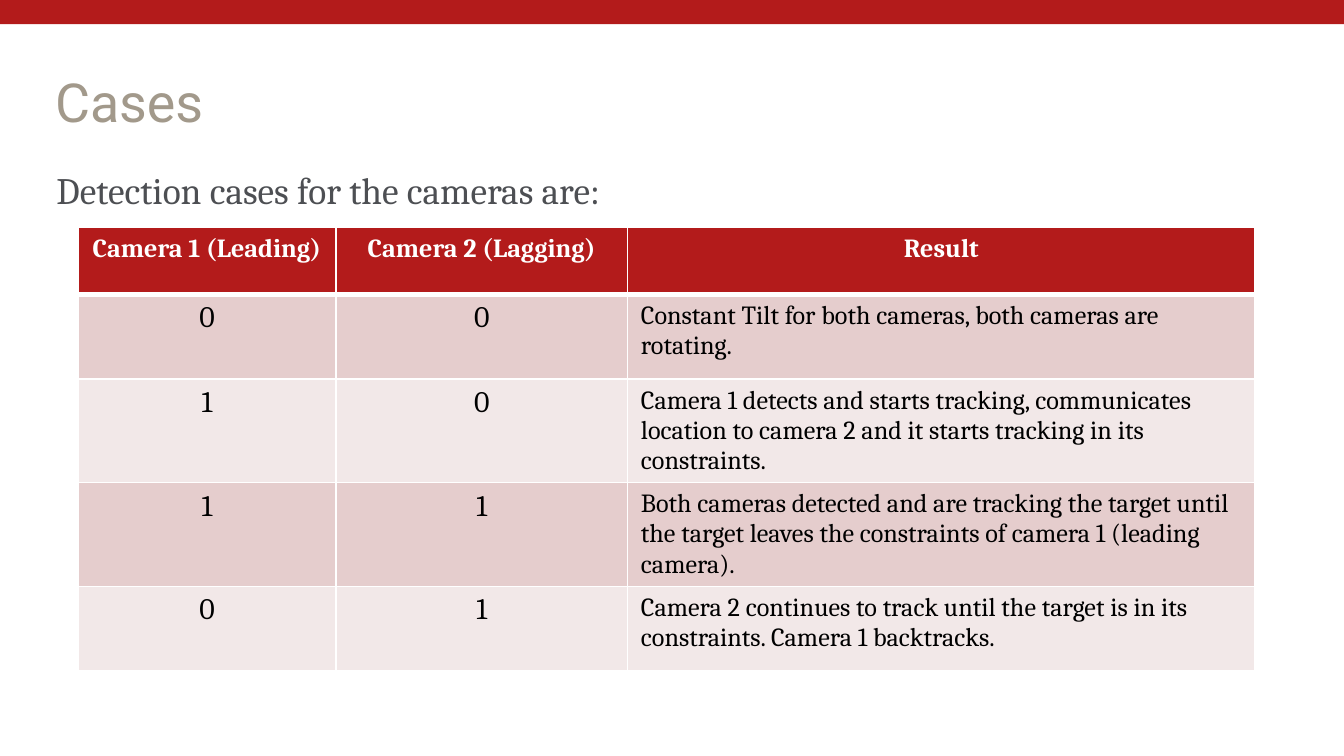
from dataclasses import dataclass

import pptx
import pptx.dml.color
import pptx.enum.shapes
import pptx.enum.text
import pptx.oxml
import pptx.oxml.ns
import pptx.presentation
import pptx.shapes.placeholder
import pptx.slide
import pptx.table
import pptx.text.text
import pptx.util

Inches = pptx.util.Inches
ALIGN = pptx.enum.text.PP_ALIGN
ANCHOR = pptx.enum.text.MSO_ANCHOR


@dataclass(frozen=True)
class Theme:
    red: str = "B31B1B"
    sand: str = "A2998B"
    gray: str = "4D4F53"
    black: str = "000000"
    white: str = "FFFFFF"
    bands: tuple[str, str] = ("E5CDCD", "F2E8E8")
    heading_font: str = "Roboto"
    text_font: str = "Cambria"
    title_size: float = 28.8
    body_size: float = 20
    value_size: float = 16
    cell_size: float = 14
    rule: float = 1
    header_rule: float = 3


@dataclass(frozen=True)
class Style:
    font: str
    size: float
    color: str
    align: ALIGN = ALIGN.LEFT
    bold: bool = False


@dataclass(frozen=True)
class Case:
    leading: str
    lagging: str
    result: str


THEME = Theme()
TITLE = Style(THEME.heading_font, THEME.title_size, THEME.sand)
BODY = Style(THEME.text_font, THEME.body_size, THEME.gray)
HEADER = Style(THEME.text_font, THEME.cell_size, THEME.white, ALIGN.CENTER, True)
VALUE = Style(THEME.text_font, THEME.value_size, THEME.black, ALIGN.CENTER)
RESULT = Style(THEME.text_font, THEME.cell_size, THEME.black)

HEADINGS = ("Camera 1 (Leading)", "Camera 2 (Lagging)", "Result")
CASES = (
    Case("0", "0", "Constant Tilt for both cameras, both cameras are rotating."),
    Case("1", "0", "Camera 1 detects and starts tracking, communicates location "
                   "to camera 2 and it starts tracking in its constraints."),
    Case("1", "1", "Both cameras detected and are tracking the target until the "
                   "target leaves the constraints of camera 1 (leading camera)."),
    Case("0", "1", "Camera 2 continues to track until the target is in its "
                   "constraints. Camera 1 backtracks."),
)
COLUMN_WIDTHS = (1.92, 2.17, 4.67)
HEADER_HEIGHT, CASE_HEIGHT = 0.5, 0.63


def rgb(color: str) -> pptx.dml.color.RGBColor:
    return pptx.dml.color.RGBColor.from_string(color)


def write(frame: pptx.text.text.TextFrame, text: str, style: Style) -> None:
    paragraph = frame.paragraphs[0]
    paragraph.alignment = style.align
    paragraph.space_before = pptx.util.Pt(0)
    run = paragraph.add_run()
    run.text = text
    run.font.name = style.font
    run.font.size = pptx.util.Pt(style.size)
    run.font.bold = style.bold
    run.font.color.rgb = rgb(style.color)


def fill_placeholder(
    holder: pptx.shapes.placeholder.SlidePlaceholder,
    box: tuple[float, float, float, float],
    text: str,
    style: Style,
    anchor: ANCHOR,
) -> None:
    holder.left, holder.top, holder.width, holder.height = map(Inches, box)
    frame = holder.text_frame
    frame.word_wrap = True
    frame.auto_size = pptx.enum.text.MSO_AUTO_SIZE.NONE
    frame.vertical_anchor = anchor
    properties = frame.paragraphs[0]._p.get_or_add_pPr()
    properties.set("marL", "0")
    properties.set("indent", "0")
    properties.append(pptx.oxml.parse_xml(f'<a:buNone {pptx.oxml.ns.nsdecls("a")}/>'))
    write(frame, text, style)


def add_border(cell: pptx.table._Cell, top: float, bottom: float) -> None:
    widths = {"lnL": THEME.rule, "lnR": THEME.rule, "lnT": top, "lnB": bottom}
    for position, (side, width) in enumerate(widths.items()):
        line = pptx.oxml.parse_xml(
            f'<a:{side} {pptx.oxml.ns.nsdecls("a")} w="{pptx.util.Pt(width)}">'
            f'<a:solidFill><a:srgbClr val="{THEME.white}"/></a:solidFill></a:{side}>'
        )
        cell._tc.get_or_add_tcPr().insert(position, line)


def fill_row(
    table: pptx.table.Table,
    index: int,
    texts: tuple[str, ...],
    styles: tuple[Style, ...],
    color: str,
) -> None:
    top = THEME.header_rule if index == 1 else THEME.rule
    bottom = THEME.header_rule if index == 0 else THEME.rule
    for column, (text, style) in enumerate(zip(texts, styles)):
        cell = table.cell(index, column)
        cell.fill.solid()
        cell.fill.fore_color.rgb = rgb(color)
        add_border(cell, top, bottom)
        write(cell.text_frame, text, style)


def add_top_band(slide: pptx.slide.Slide, width: pptx.util.Length) -> None:
    band = slide.shapes.add_shape(
        pptx.enum.shapes.MSO_SHAPE.RECTANGLE, 0, 0, width, Inches(0.18)
    )
    band.shadow.inherit = False
    band.fill.solid()
    band.fill.fore_color.rgb = rgb(THEME.red)
    band.line.fill.background()


def add_case_table(slide: pptx.slide.Slide) -> None:
    table = slide.shapes.add_table(
        len(CASES) + 1, len(HEADINGS), Inches(0.58), Inches(1.69),
        Inches(sum(COLUMN_WIDTHS)),
        Inches(HEADER_HEIGHT + CASE_HEIGHT * len(CASES)),
    ).table
    table.horz_banding = False
    for column, width in zip(table.columns, COLUMN_WIDTHS):
        column.width = Inches(width)
    for index, row in enumerate(table.rows):
        row.height = Inches(CASE_HEIGHT if index else HEADER_HEIGHT)
    fill_row(table, 0, HEADINGS, (HEADER,) * len(HEADINGS), THEME.red)
    for index, case in enumerate(CASES, start=1):
        texts = (case.leading, case.lagging, case.result)
        color = THEME.bands[(index - 1) % len(THEME.bands)]
        fill_row(table, index, texts, (VALUE, VALUE, RESULT), color)


def main() -> None:
    deck = pptx.Presentation()
    deck.slide_width = Inches(10)
    deck.slide_height = deck.slide_width * 9 // 16
    slide = deck.slides.add_slide(deck.slide_layouts[1])
    add_top_band(slide, deck.slide_width)
    fill_placeholder(slide.shapes.title, (0.31, 0.51, 7.17, 0.49),
                     "Cases", TITLE, ANCHOR.MIDDLE)
    fill_placeholder(slide.placeholders[1], (0.32, 1.19, 9.27, 4),
                     "Detection cases for the cameras are:", BODY, ANCHOR.TOP)
    add_case_table(slide)
    deck.save("out.pptx")


if __name__ == "__main__":
    main()
